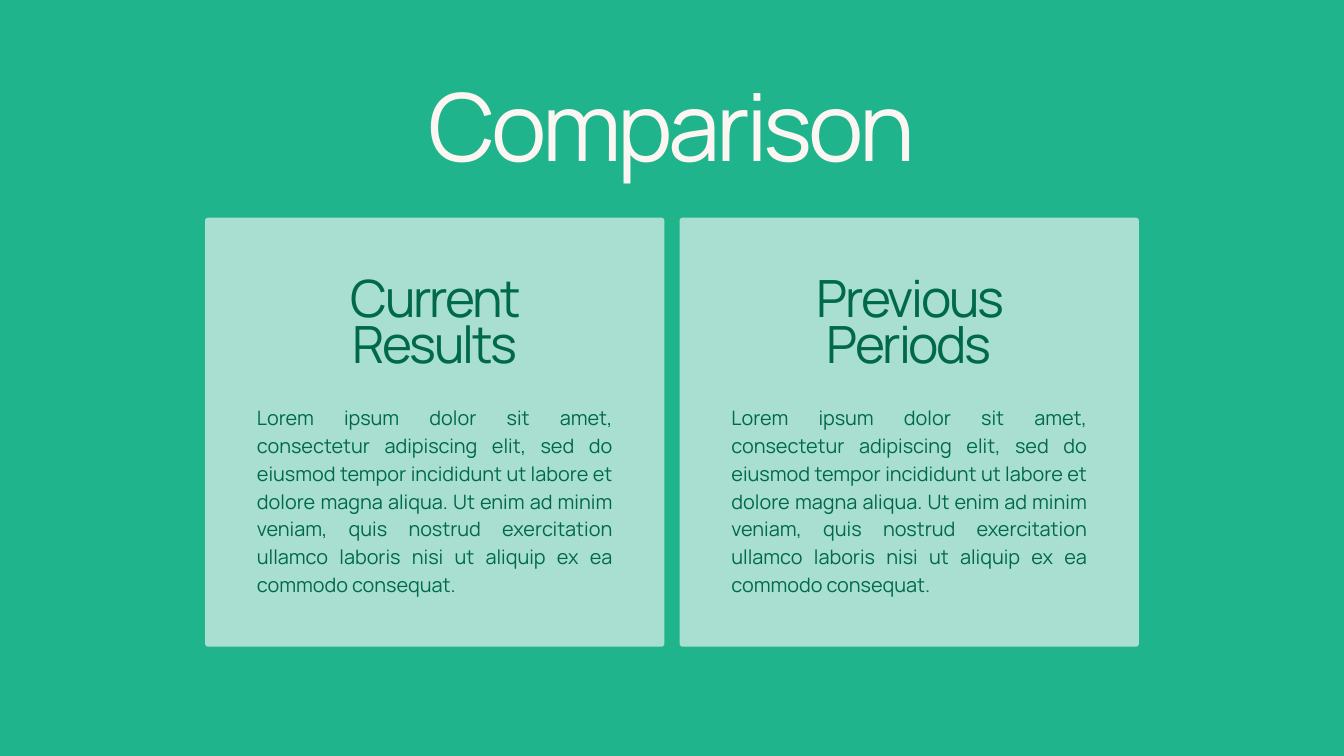
from pptx import Presentation
from pptx.dml.color import RGBColor
from pptx.enum.shapes import MSO_SHAPE
from pptx.enum.text import MSO_AUTO_SIZE, PP_ALIGN
from pptx.util import Pt

COLORS = {"background": "20B48C", "card": "A9DFD0", "title": "FBF6F1", "text": "00694C"}
HEADINGS = ["Current Results", "Previous Periods"]
BODY = (
    "Lorem ipsum dolor sit amet, consectetur adipiscing elit, sed do eiusmod tempor "
    "incididunt ut labore et dolore magna aliqua. Ut enim ad minim veniam, quis nostrud "
    "exercitation ullamco laboris nisi ut aliquip ex ea commodo consequat."
)
SLIDE_WIDTH, SLIDE_HEIGHT = 1440, 810
CARD_TOP, CARD_WIDTH, CARD_HEIGHT, CARD_GAP = 233.2, 492.2, 459.7, 16.2
CARD_RADIUS = 3.3


class SlideBuilder:
    """Draws styled elements on the current slide, with lengths in points."""

    font_name = "Manrope"

    def __init__(self, slide):
        self.slide = slide

    def background(self, color):
        fill = self.slide.background.fill
        fill.solid()
        fill.fore_color.rgb = RGBColor.from_string(COLORS[color])

    def card(self, left, top, width, height):
        shape = self.slide.shapes.add_shape(
            MSO_SHAPE.ROUNDED_RECTANGLE, Pt(left), Pt(top), Pt(width), Pt(height)
        )
        shape.adjustments[0] = CARD_RADIUS / min(width, height)
        shape.shadow.inherit = False
        shape.fill.solid()
        shape.fill.fore_color.rgb = RGBColor.from_string(COLORS["card"])
        shape.line.fill.background()

    def text(self, text, center, top, width, height, size, line_spacing,
             color="text", align=PP_ALIGN.CENTER, tracking=0):
        box = self.slide.shapes.add_textbox(
            Pt(center - width / 2), Pt(top), Pt(width), Pt(height)
        )
        frame = box.text_frame
        frame.word_wrap = True
        frame.auto_size = MSO_AUTO_SIZE.SHAPE_TO_FIT_TEXT
        frame.margin_left = frame.margin_right = frame.margin_top = frame.margin_bottom = 0
        paragraph = frame.paragraphs[0]
        paragraph.text = text
        paragraph.alignment = align
        paragraph.line_spacing = Pt(line_spacing)
        font = paragraph.font
        font.name = self.font_name
        font.size = Pt(size)
        font.color.rgb = RGBColor.from_string(COLORS[color])
        if tracking:
            properties = paragraph.runs[0]._r.get_or_add_rPr()
            properties.set("spc", str(round(tracking * 100)))


def main():
    presentation = Presentation()
    presentation.slide_width = Pt(SLIDE_WIDTH)
    presentation.slide_height = Pt(SLIDE_HEIGHT)
    builder = SlideBuilder(presentation.slides.add_slide(presentation.slide_layouts[6]))

    builder.background("background")
    builder.text("Comparison", SLIDE_WIDTH / 2, 103, 1263, 98.6, 100.4, 90.4,
                 color="title", tracking=-4.6)

    first_left = (SLIDE_WIDTH - 2 * CARD_WIDTH - CARD_GAP) / 2
    for index, heading in enumerate(HEADINGS):
        left = first_left + index * (CARD_WIDTH + CARD_GAP)
        center = left + CARD_WIDTH / 2
        builder.card(left, CARD_TOP, CARD_WIDTH, CARD_HEIGHT)
        builder.text(heading, center, 301.7, 330, 104.4, 55, 49.5, tracking=-2.5)
        builder.text(BODY, center, 430.6, 381, 205.2, 21.3, 29.8, align=PP_ALIGN.JUSTIFY)

    presentation.save("out.pptx")


if __name__ == "__main__":
    main()
